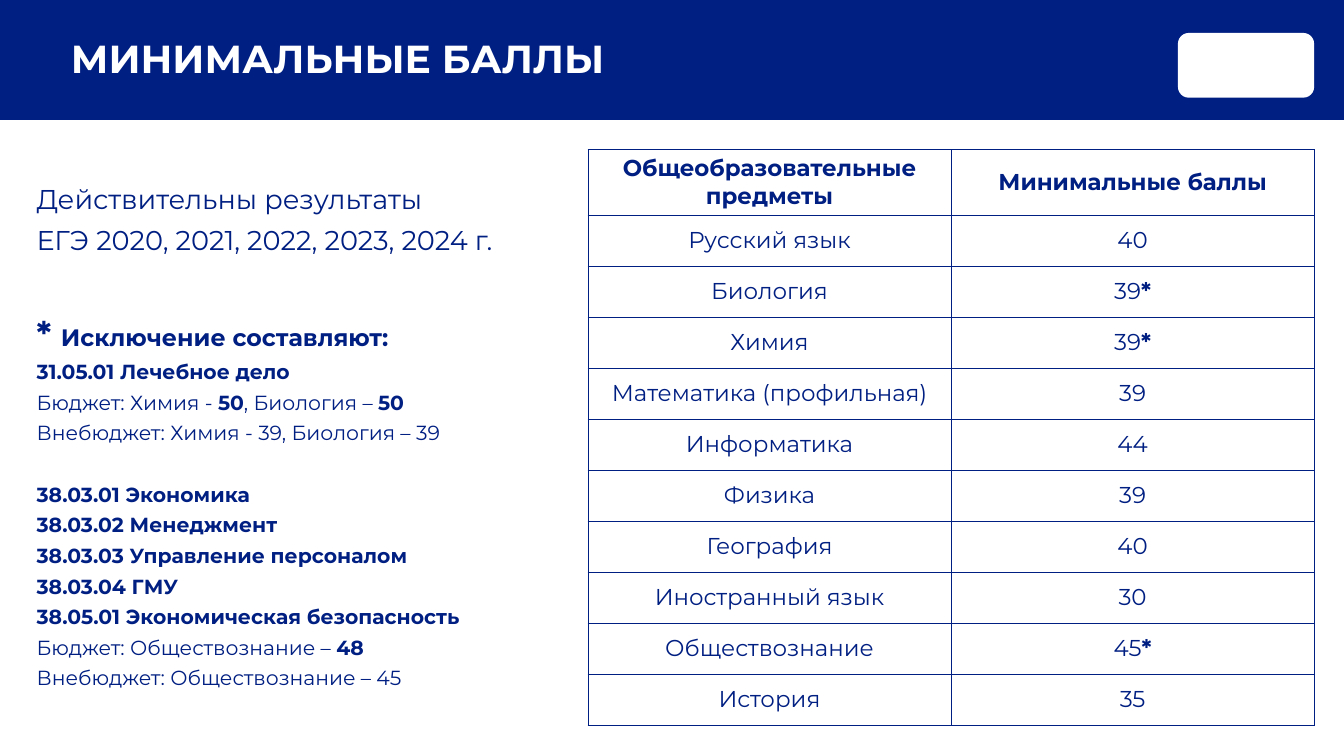
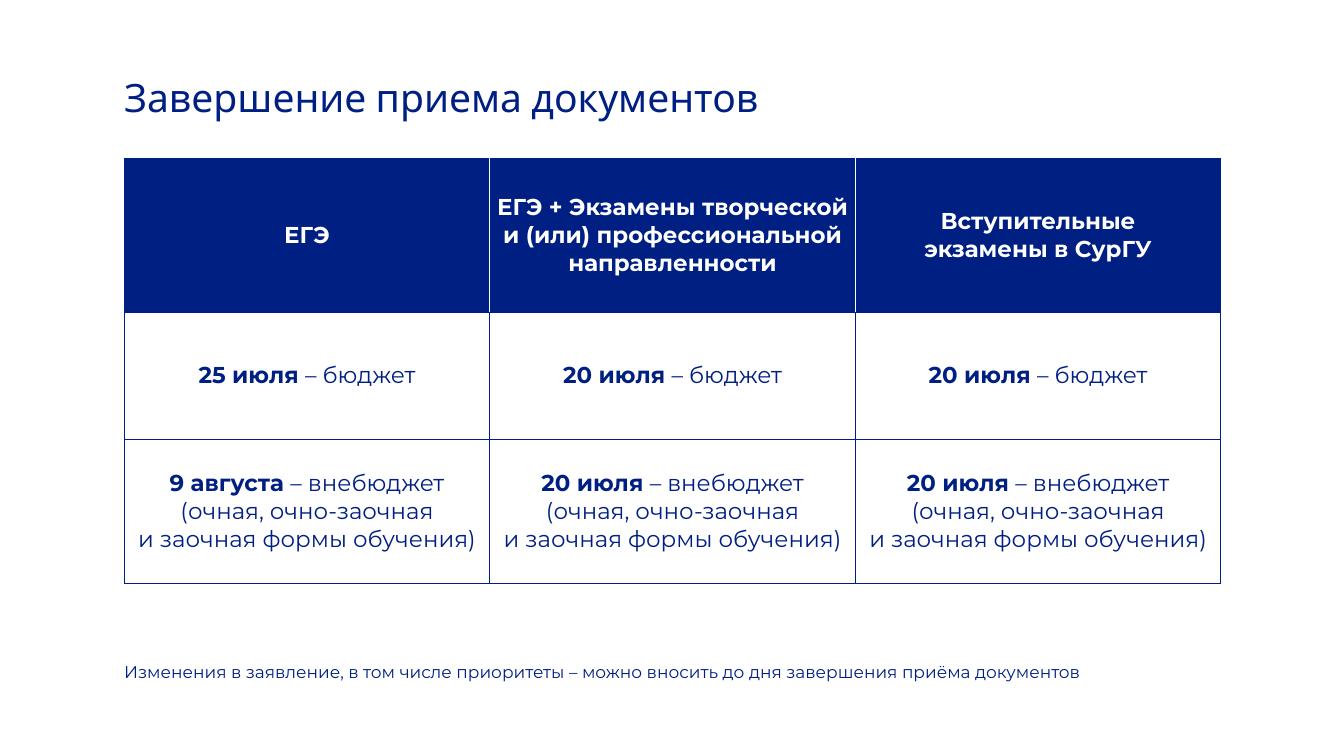
from lxml import etree
from pptx import Presentation
from pptx.dml.color import RGBColor
from pptx.enum import shapes, text
from pptx.oxml import ns
from pptx.util import Cm, Pt

NAVY = RGBColor(0x00, 0x1F, 0x82)
WHITE = RGBColor(0xFF, 0xFF, 0xFF)
BODY_FONT = "Montserrat"
TITLE_SIZE = 46
TABLE_SIZE = 27


def write(p, line, size, color=NAVY, font=BODY_FONT):
    parts = line.split("|")
    all_bold = len(parts) == 2 and not parts[0]
    p.font.name = font
    p.font.size = Pt(size)
    p.font.color.rgb = color
    p.font.bold = all_bold
    for i, part in enumerate(parts):
        if part:
            r = p.add_run()
            r.text = part
            if i % 2 and not all_bold:
                r.font.bold = True


def add_grid(s, left, top, col_width, heights, rows, head_fill=None):
    n = len(rows[0])
    frame = s.shapes.add_table(len(rows), n, Cm(left), Cm(top),
                               Cm(col_width * n), Cm(sum(heights)))
    table = frame.table
    table.horz_banding = False
    for col in table.columns:
        col.width = Cm(col_width)
    for i, row in enumerate(rows):
        table.rows[i].height = Cm(heights[i])
        filled = head_fill is not None and i == 0
        for j, content in enumerate(row):
            cell = table.cell(i, j)
            cell.vertical_anchor = text.MSO_ANCHOR.MIDDLE
            tcPr = cell._tc.get_or_add_tcPr()
            inner = {"L": filled and j > 0, "R": filled and j < n - 1}
            for side in "LRTB":
                ln = etree.SubElement(tcPr, ns.qn("a:ln" + side), w=str(Pt(1)))
                fill = etree.SubElement(ln, ns.qn("a:solidFill"))
                color = WHITE if inner.get(side) else NAVY
                etree.SubElement(fill, ns.qn("a:srgbClr"), val=str(color))
            if filled:
                cell.fill.solid()
                cell.fill.fore_color.rgb = head_fill
            else:
                cell.fill.background()
            tf = cell.text_frame
            for k, line in enumerate(content.split("\n")):
                p = tf.add_paragraph() if k else tf.paragraphs[0]
                p.alignment = text.PP_ALIGN.CENTER
                write(p, line, TABLE_SIZE, WHITE if filled else NAVY)


prs = Presentation()
prs.slide_width = Cm(55.85)
prs.slide_height = Cm(31.42)
scores, deadlines = [prs.slides.add_slide(prs.slide_layouts[6]) for _ in range(2)]

for kind, left, top, width, height, color in [
    (shapes.MSO_SHAPE.RECTANGLE, 0, 0, 55.85, 4.98, NAVY),
    (shapes.MSO_SHAPE.ROUNDED_RECTANGLE, 48.95, 1.37, 5.66, 2.69, WHITE),
]:
    sp = scores.shapes.add_shape(kind, Cm(left), Cm(top), Cm(width), Cm(height))
    sp.shadow.inherit = False
    sp.fill.solid()
    sp.fill.fore_color.rgb = color
    sp.line.fill.background()

frames = []
for s, left, top, width, height in [
    (scores, 2.95, 1.4, 24.13, 2),
    (scores, 1.52, 7.24, 21.56, 21.62),
    (deadlines, 5.16, 3.05, 45.57, 2.03),
    (deadlines, 5.16, 27.28, 45.16, 1.09),
]:
    tf = s.shapes.add_textbox(Cm(left), Cm(top), Cm(width), Cm(height)).text_frame
    tf.word_wrap = True
    tf.margin_left = tf.margin_right = tf.margin_top = tf.margin_bottom = 0
    frames.append(tf)
scores_title, notes, deadlines_title, footnote = frames

scores_title.vertical_anchor = text.MSO_ANCHOR.MIDDLE
write(scores_title.paragraphs[0], "|МИНИМАЛЬНЫЕ БАЛЛЫ", TITLE_SIZE, WHITE)
write(deadlines_title.paragraphs[0], "Завершение приема документов", TITLE_SIZE, font="Karla")

for i, (line, size, before) in enumerate([
    ("Действительны результаты", 32, 0),
    ("ЕГЭ 2020, 2021, 2022, 2023, 2024 г.", 32, 0),
    ("|* ", 40, 55),
    ("|31.05.01 Лечебное дело", 24, 0),
    ("Бюджет: Химия - |50|, Биология – |50", 24, 0),
    ("Внебюджет: Химия - 39, Биология – 39", 24, 0),
    ("|38.03.01 Экономика", 24, 36.5),
    ("|38.03.02 Менеджмент", 24, 0),
    ("|38.03.03 Управление персоналом", 24, 0),
    ("|38.03.04 ГМУ", 24, 0),
    ("|38.05.01 Экономическая безопасность", 24, 0),
    ("Бюджет: Обществознание – |48", 24, 0),
    ("Внебюджет: Обществознание – 45", 24, 0),
]):
    p = notes.add_paragraph() if i else notes.paragraphs[0]
    p.line_spacing = 1.25
    p.space_before = Pt(before)
    write(p, line, size)
    if line == "|* ":
        r = p.add_run()
        r.text = "Исключение составляют:"
        r.font.size = Pt(28)

p = footnote.paragraphs[0]
p.line_spacing = 1.25
write(p, "Изменения в заявление, в том числе приоритеты – можно вносить "
         "до дня завершения приёма документов", 20)

subjects = [
    ("|Общеобразовательные предметы", "|Минимальные баллы"),
    ("Русский язык", "40"),
    ("Биология", "39|*"),
    ("Химия", "39|*"),
    ("Математика (профильная)", "39"),
    ("Информатика", "44"),
    ("Физика", "39"),
    ("География", "40"),
    ("Иностранный язык", "30"),
    ("Обществознание", "45|*"),
    ("История", "35"),
]
add_grid(scores, 24.43, 6.22, 15.09, [2.72] + [2.12] * 10, subjects)

forms = "– внебюджет\n(очная, очно-заочная\nи заочная формы обучения)"
dates = [
    ("|ЕГЭ",
     "|ЕГЭ + Экзамены творческой\n|и (или) профессиональной\n|направленности",
     "|Вступительные\n|экзамены в СурГУ"),
    [f"|{day} июля |– бюджет" for day in (25, 20, 20)],
    [f"|{day} |{forms}" for day in ("9 августа", "20 июля", "20 июля")],
]
add_grid(deadlines, 5.16, 6.6, 15.19, [6.38, 5.26, 6.02], dates, NAVY)

prs.save("out.pptx")
